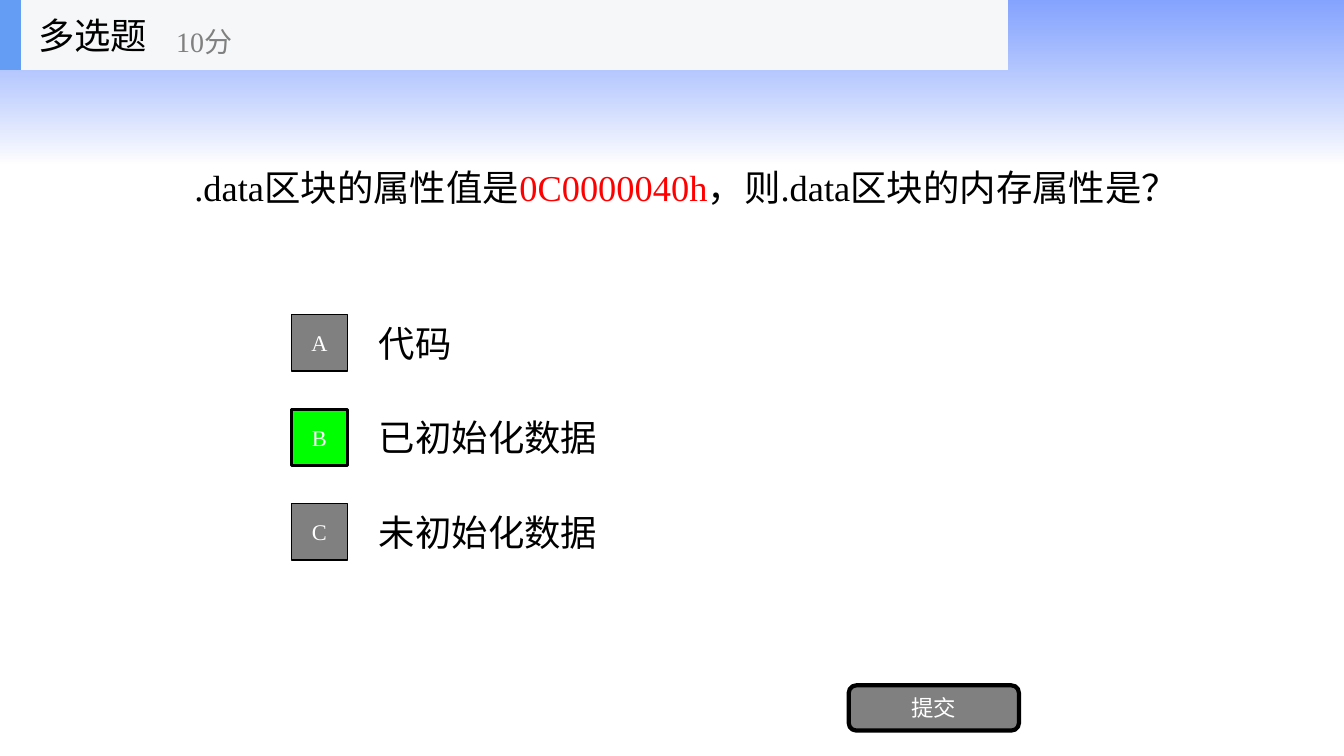
import pptx
import pptx.util
import pptx.dml.color
import pptx.enum.shapes
import pptx.enum.text
import lxml.etree

Cm = pptx.util.Cm
Pt = pptx.util.Pt
RGB = pptx.dml.color.RGBColor
KIND = pptx.enum.shapes.MSO_SHAPE
ALIGN = pptx.enum.text.PP_ALIGN

BLACK = RGB(0x00, 0x00, 0x00)
WHITE = RGB(0xFF, 0xFF, 0xFF)
GREY = RGB(0x80, 0x80, 0x80)
RED = RGB(0xFF, 0x00, 0x00)
GREEN = RGB(0x00, 0xFF, 0x00)
SKY = RGB(0x33, 0x66, 0xFF)
BLUE = RGB(0x63, 0x9E, 0xF4)
PALE = RGB(0xF6, 0xF7, 0xF8)

FONT = "Times New Roman"
WIDE, HIGH = 33.87, 19.05
BAR = 1.76

TITLE = [("多选题", BLACK)]
SCORE = [("10分", GREY)]
QUERY = [
    (".data区块的属性值是", BLACK),
    ("0C0000040h", RED),
    ("，则.data区块的内存属性是？", BLACK),
]
CHOICES = [
    ("A", "代码", False),
    ("B", "已初始化数据", True),
    ("C", "未初始化数据", False),
]
SUBMIT = "提交"
FADE = [(SKY, 60), (WHITE, 70)]

deck = pptx.Presentation()
deck.slide_width, deck.slide_height = Cm(WIDE), Cm(HIGH)
slide = deck.slides.add_slide(deck.slide_layouts[6])


def write(shape, runs, size, align=ALIGN.LEFT):
    frame = shape.text_frame
    frame.word_wrap = True
    frame.vertical_anchor = pptx.enum.text.MSO_ANCHOR.MIDDLE
    para = frame.paragraphs[0]
    para.alignment = align
    for text, color in runs:
        run = para.add_run()
        run.text = text
        run.font.name = FONT
        run.font.size = Pt(size)
        run.font.color.rgb = color


def label(box, runs, size):
    write(slide.shapes.add_textbox(*map(Cm, box)), runs, size)


def block(box, fill=None, line=0, kind=KIND.RECTANGLE):
    shape = slide.shapes.add_shape(kind, *map(Cm, box))
    shape.shadow.inherit = False
    if fill is not None:
        shape.fill.solid()
        shape.fill.fore_color.rgb = fill
    if line:
        shape.line.color.rgb = BLACK
        shape.line.width = Pt(line)
    else:
        shape.line.fill.background()
    return shape


def button(box, text, fill, line, kind=KIND.RECTANGLE):
    shape = block(box, fill, line, kind)
    write(shape, [(text, WHITE)], 16, ALIGN.CENTER)


band = block((0, 0, WIDE, 4.11))
band.fill.gradient()
band.fill.gradient_angle = 270
for stop, (color, alpha), spot in zip(band.fill.gradient_stops, FADE, (0, 1)):
    stop.color.rgb = color
    stop.position = spot
for node, (color, alpha) in zip(band.element.xpath(".//a:gs/a:srgbClr"), FADE):
    tag = node.tag.replace("srgbClr", "alpha")
    lxml.etree.SubElement(node, tag).set("val", str(alpha * 1000))

label((4.65, 1.75, 25.22, 5.94), QUERY, 26)

SIDE, TALL, TOP, STEP = 1.42, 1.78, 7.75, 2.38
for row, (mark, text, right) in enumerate(CHOICES):
    top = TOP + row * STEP
    label((9.3, top, 17.78, TALL), [(text, BLACK)], 26)
    box = (7.34, top + (TALL - SIDE) / 2, SIDE, SIDE)
    button(box, mark, GREEN if right else GREY, 2 if right else 1)

button((21.39, 17.27, 4.29, 1.14), SUBMIT, GREY, 3, KIND.ROUNDED_RECTANGLE)

block((0, 0, 25.4, BAR), PALE)
block((0, 0, 0.53, BAR), BLUE)
label((0.71, 0, 5.28, BAR), TITLE, 26)
label((4.19, 0.32, 6.35, 1.42), SCORE, 20)

deck.save("out.pptx")
